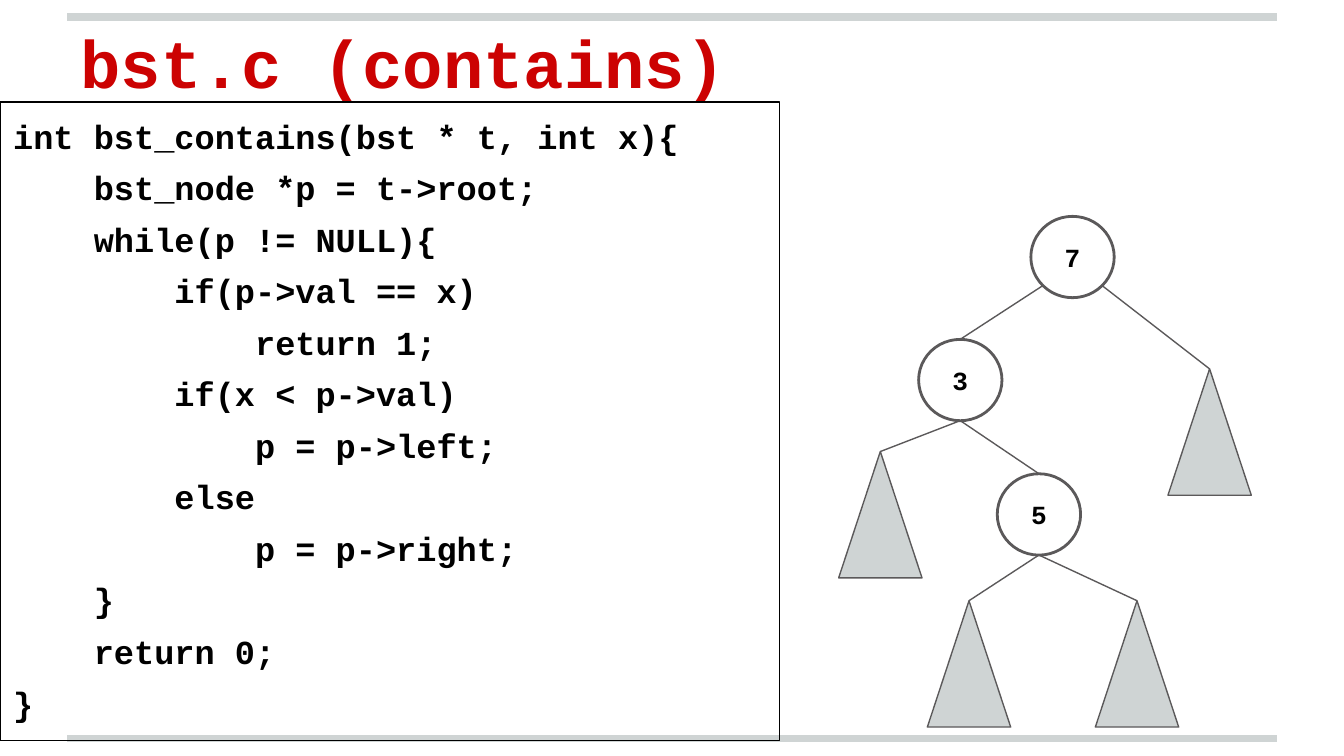
from dataclasses import dataclass

from lxml.etree import SubElement
from pptx import Presentation
from pptx.dml.color import RGBColor
from pptx.enum.shapes import MSO_CONNECTOR, MSO_SHAPE
from pptx.enum.text import MSO_ANCHOR, PP_ALIGN
from pptx.oxml.ns import qn
from pptx.util import Pt

PX = 4572


@dataclass(frozen=True)
class Theme:
    """Colours, font and type sizes of the slide."""
    red: str = "CC0202"
    black: str = "000000"
    white: str = "FFFFFF"
    gray: str = "CFD4D4"
    dark: str = "5B595A"
    font: str = "Courier New"
    title: int = 36
    code: int = 18
    node: int = 14


THEME = Theme()

CODE = """int bst_contains(bst * t, int x){
    bst_node *p = t->root;
    while(p != NULL){
        if(p->val == x)
            return 1;
        if(x < p->val)
            p = p->left;
        else
            p = p->right;
    }
    return 0;
}"""

NODES = {"7": (286, 0), "3": (119, 183), "5": (236, 383)}
LEAVES = {"a": (0, 350), "b": (132, 572), "c": (382, 572), "d": (490, 227)}
EDGES = [("7", "3", -44, 103), ("7", "d", 44, 103), ("3", "a", 0, 121),
         ("3", "5", 0, 121), ("5", "b", 0, 121), ("5", "c", 0, 121)]


def apply(target, values):
    """Set each named attribute on the target."""
    for name, value in values.items():
        setattr(target, name, value)


def paint(shape, line, width, fill=None):
    """Give a shape its outline and an optional solid fill."""
    shape.shadow.inherit = False
    if fill:
        shape.fill.solid()
        shape.fill.fore_color.rgb = RGBColor.from_string(fill)
    else:
        shape.fill.background()
    shape.line.color.rgb = RGBColor.from_string(line)
    shape.line.width = Pt(width)


def write(shape, text, size, color, anchor=MSO_ANCHOR.TOP,
          align=PP_ALIGN.LEFT, gap=0):
    """Write bold lines of text into a shape."""
    frame = shape.text_frame
    inset = 20 * PX
    apply(frame, {"word_wrap": True, "vertical_anchor": anchor,
                  "margin_left": inset, "margin_right": inset,
                  "margin_top": inset, "margin_bottom": inset})
    for row, line in enumerate(text.split("\n")):
        para = frame.add_paragraph() if row else frame.paragraphs[0]
        apply(para, {"alignment": align, "space_before": Pt(gap if row else 0)})
        run = para.add_run()
        run.text = line
        apply(run.font, {"name": THEME.font, "size": Pt(size), "bold": True})
        run.font.color.rgb = RGBColor.from_string(color)


def block(slide, kind, *box):
    """Add a preset shape in a px box."""
    return slide.shapes.add_shape(kind, *(side * PX for side in box))


def link(slide, ends, color, width):
    """Draw a straight line between two px points."""
    line = slide.shapes.add_connector(
        MSO_CONNECTOR.STRAIGHT, *(end * PX for end in ends))
    line.line.color.rgb = RGBColor.from_string(color)
    line.line.width = Pt(width)
    SubElement(line._element.spPr, qn("a:effectLst"))


def rules(slide, left, top, width, height):
    """Draw the bars along the top and bottom of the box."""
    for y in (top, top + height):
        link(slide, (left, y, left + width, y), THEME.gray, 4)


def title(slide, left, top, width, height):
    """Place the slide title in the box."""
    box = slide.shapes.add_textbox(*(n * PX for n in (left, top, width, height)))
    write(box, "bst.c (contains)", THEME.title, THEME.red)


def code(slide, left, top, width, height):
    """Place the framed code listing in the box."""
    box = block(slide, MSO_SHAPE.RECTANGLE, left, top, width, height)
    paint(box, THEME.black, 0.75)
    write(box, CODE, THEME.code, THEME.black, gap=6)


def tree(slide, left, top, width, height):
    """Draw the search tree from the top left of the box."""
    side, round_h = width // 5, 121
    leaf_h = height - LEAVES["b"][1]
    spots = NODES | LEAVES
    for name, (x, y) in NODES.items():
        node = block(slide, MSO_SHAPE.OVAL, left + x, top + y, side, round_h)
        paint(node, THEME.dark, 1.5)
        write(node, name, THEME.node, THEME.black, MSO_ANCHOR.MIDDLE,
              PP_ALIGN.CENTER)
    for x, y in LEAVES.values():
        leaf = block(slide, MSO_SHAPE.ISOSCELES_TRIANGLE,
                     left + x, top + y, side, leaf_h)
        paint(leaf, THEME.dark, 0.75, THEME.gray)
    mid = left + side // 2
    for start, stop, dx, dy in EDGES:
        (ax, ay), (bx, by) = spots[start], spots[stop]
        link(slide, (mid + ax + dx, top + ay + dy, mid + bx, top + by),
             THEME.dark, 0.75)


def main():
    """Build and save the slide."""
    deck = Presentation()
    apply(deck, {"slide_width": 2000 * PX, "slide_height": 1125 * PX})
    slide = deck.slides.add_slide(deck.slide_layouts[6])
    slide.background.fill.solid()
    slide.background.fill.fore_color.rgb = RGBColor.from_string(THEME.white)
    rules(slide, 100, 25, 1800, 1074)
    title(slide, 100, 12, 1800, 188)
    code(slide, 0, 152, 1160, 950)
    tree(slide, 1248, 322, 620, 760)
    deck.save("out.pptx")


if __name__ == "__main__":
    main()
